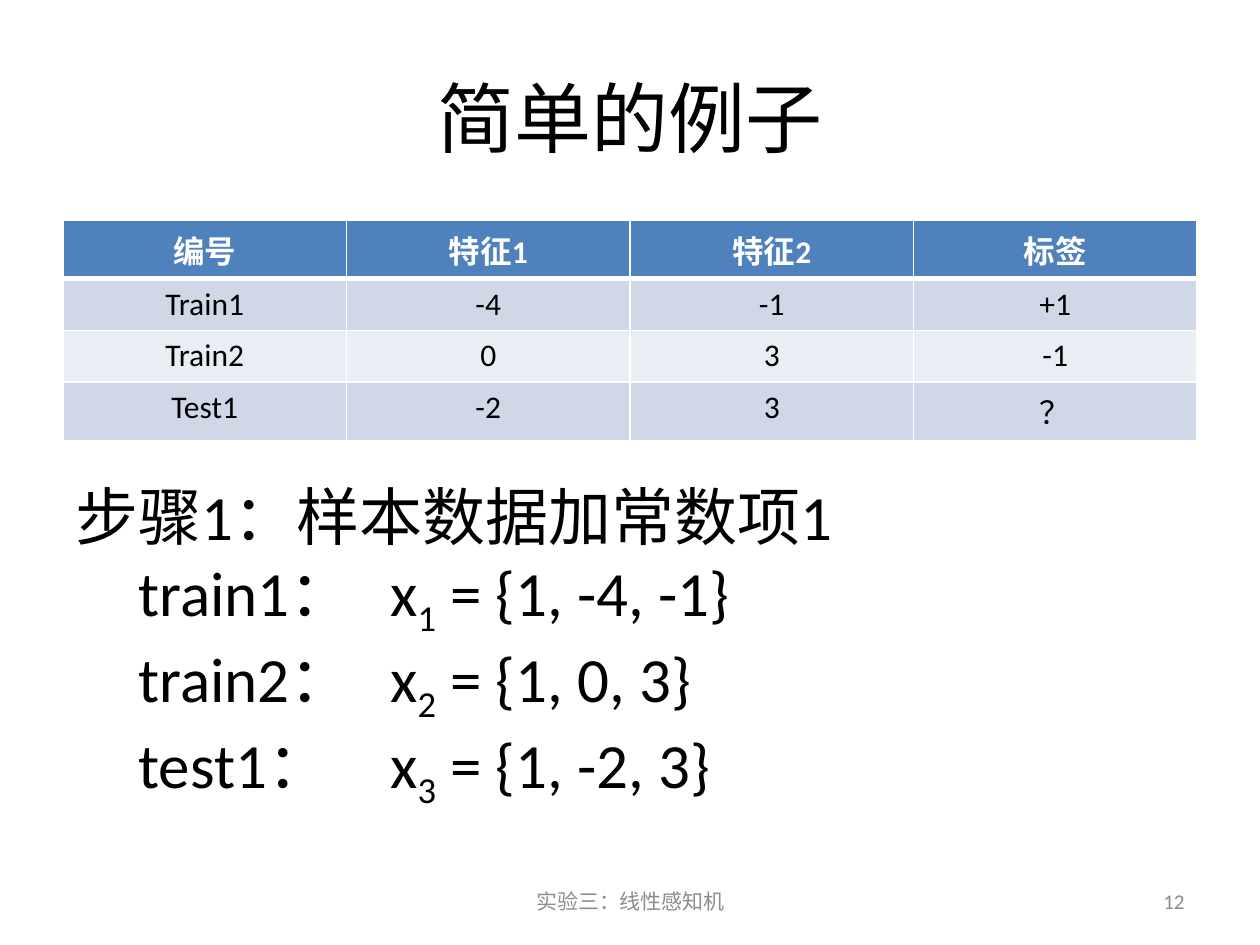
from lxml import etree
from pptx import Presentation
from pptx.dml.color import RGBColor
from pptx.enum.text import MSO_ANCHOR as Anchor, PP_ALIGN as Align
from pptx.oxml.ns import qn
from pptx.util import Inches, Pt

WHITE, BLACK, GREY = "FFFFFF", "000000", "8C8C8C"
HEADER, BANDS = "4F81BD", ("D0D8E8", "E9EDF4")


def rgb(value):
    return RGBColor.from_string(value)


class Deck:
    font = "Calibri"

    def __init__(self, prs):
        self.s = prs.slides.add_slide(prs.slide_layouts[5])

    def run(self, p, text, size, color=BLACK, bold=False, baseline=0):
        r = p.add_run()
        r.text = text
        r.font.name, r.font.size, r.font.bold = self.font, Pt(size), bold
        r.font.color.rgb = rgb(color)
        if baseline:
            r.font._element.set("baseline", str(baseline * 1000))

    def place(self, sp, box):
        sp.left, sp.top, sp.width, sp.height = (Inches(v) for v in box)

    def title(self, text, box):
        sp = self.s.shapes.title
        self.place(sp, box)
        tf = sp.text_frame
        tf.vertical_anchor = Anchor.MIDDLE
        p = tf.paragraphs[0]
        p.alignment = Align.CENTER
        self.run(p, text, 44)

    def text(self, lines, box, size, color=BLACK, align=Align.LEFT,
             anchor=Anchor.TOP, tabs=()):
        """Each line is a list of (text, baseline percent) runs."""
        tf = self.s.shapes.add_textbox(*(Inches(v) for v in box)).text_frame
        tf.word_wrap, tf.vertical_anchor = True, anchor
        for i, line in enumerate(lines):
            p = tf.add_paragraph() if i else tf.paragraphs[0]
            p.alignment = align
            if tabs:
                stops = etree.SubElement(p._p.get_or_add_pPr(), qn("a:tabLst"))
                for pos in tabs:
                    etree.SubElement(stops, qn("a:tab"),
                                     pos=str(Inches(pos)), algn="l")
            for text, baseline in line:
                self.run(p, text, size, color, baseline=baseline)

    def border(self, cell, side, width):
        ln = etree.SubElement(cell._tc.get_or_add_tcPr(), qn("a:ln" + side),
                              w=str(Pt(width)))
        fill = etree.SubElement(ln, qn("a:solidFill"))
        etree.SubElement(fill, qn("a:srgbClr"), val=WHITE)

    def table(self, rows, box, row_height):
        tbl = self.s.shapes.add_table(len(rows), len(rows[0]),
                                      *(Inches(v) for v in box)).table
        for i, row in enumerate(rows):
            tbl.rows[i].height = Inches(row_height)
            head = i == 0
            for j, text in enumerate(row):
                cell = tbl.cell(i, j)
                for side in "LRTB":
                    thick = (i, side) in ((0, "B"), (1, "T"))
                    self.border(cell, side, 3 if thick else 1)
                cell.fill.solid()
                cell.fill.fore_color.rgb = rgb(HEADER if head else BANDS[(i - 1) % 2])
                p = cell.text_frame.paragraphs[0]
                p.alignment = Align.CENTER
                self.run(p, text, 18, WHITE if head else BLACK, bold=head)


prs = Presentation()
prs.slide_width, prs.slide_height = Inches(10), Inches(7.5)
deck = Deck(prs)

# Title
deck.title("简单的例子", (0.5, 0.3, 9, 1.25))

# Sample table
deck.table([("编号", "特征1", "特征2", "标签"),
            ("Train1", "-4", "-1", "+1"),
            ("Train2", "0", "3", "-1"),
            ("Test1", "-2", "3", "？")], (0.5, 1.75, 9, 1.62), 0.41)

# Footer and slide number
deck.text([[("实验三：线性感知机", 0)]], (3.42, 6.95, 3.17, 0.4), 12, GREY,
          Align.CENTER, Anchor.MIDDLE)
deck.text([[("12", 0)]], (7.17, 6.95, 2.33, 0.4), 12, GREY,
          Align.RIGHT, Anchor.MIDDLE)

# Step 1: vectors with the constant term
samples = [("train1：", "{1, -4, -1}"), ("train2：", "{1, 0, 3}"),
           ("test1：", "{1, -2, 3}")]
lines = [[("步骤1：样本数据加常数项1", 0)]]
for n, (name, vector) in enumerate(samples, 1):
    lines.append([(f"\t{name}\tx", 0), (str(n), -25), (f" = {vector}", 0)])
deck.text(lines, (0.5, 3.74, 9, 2.52), 36, tabs=(0.5, 2.5))

prs.save("out.pptx")
